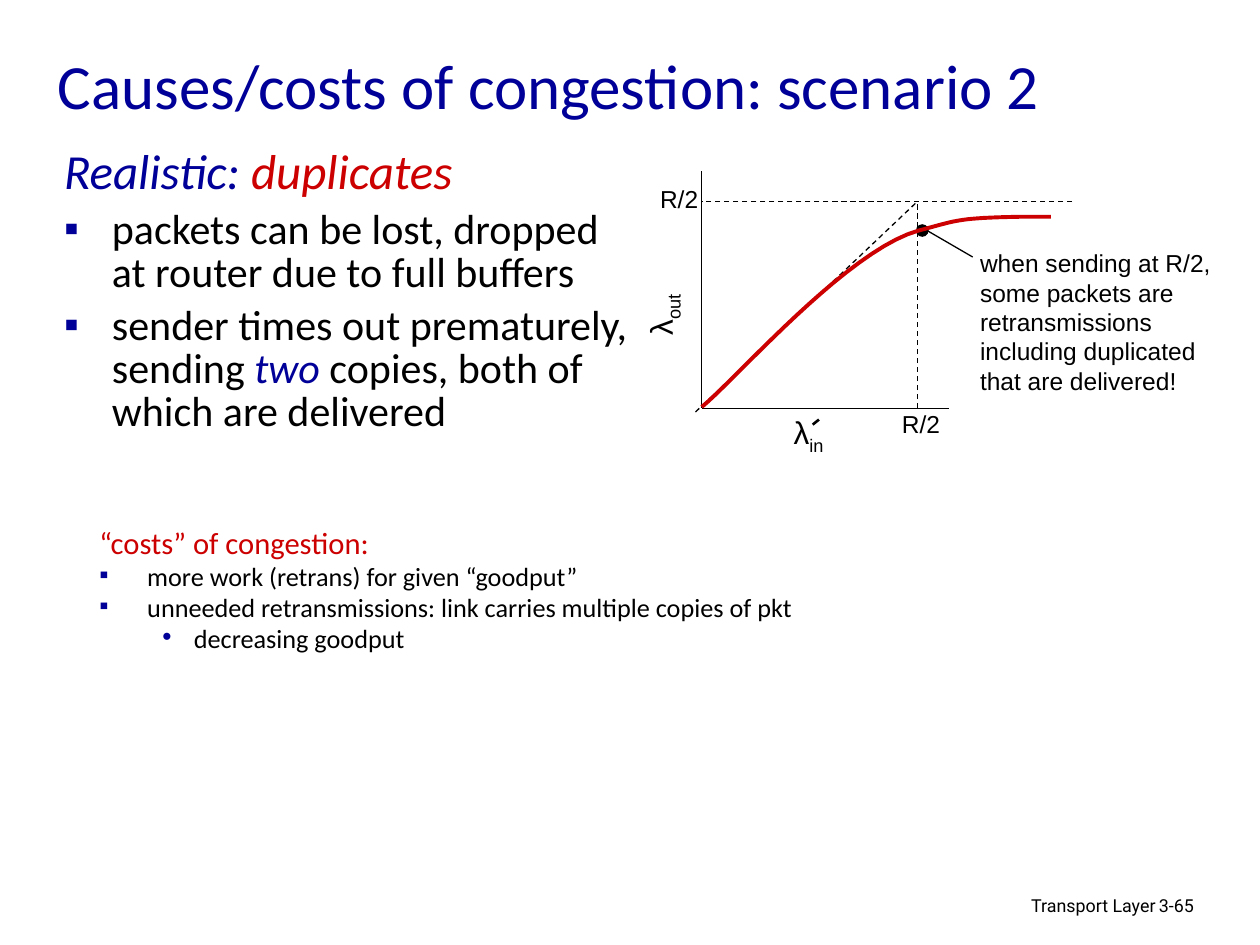
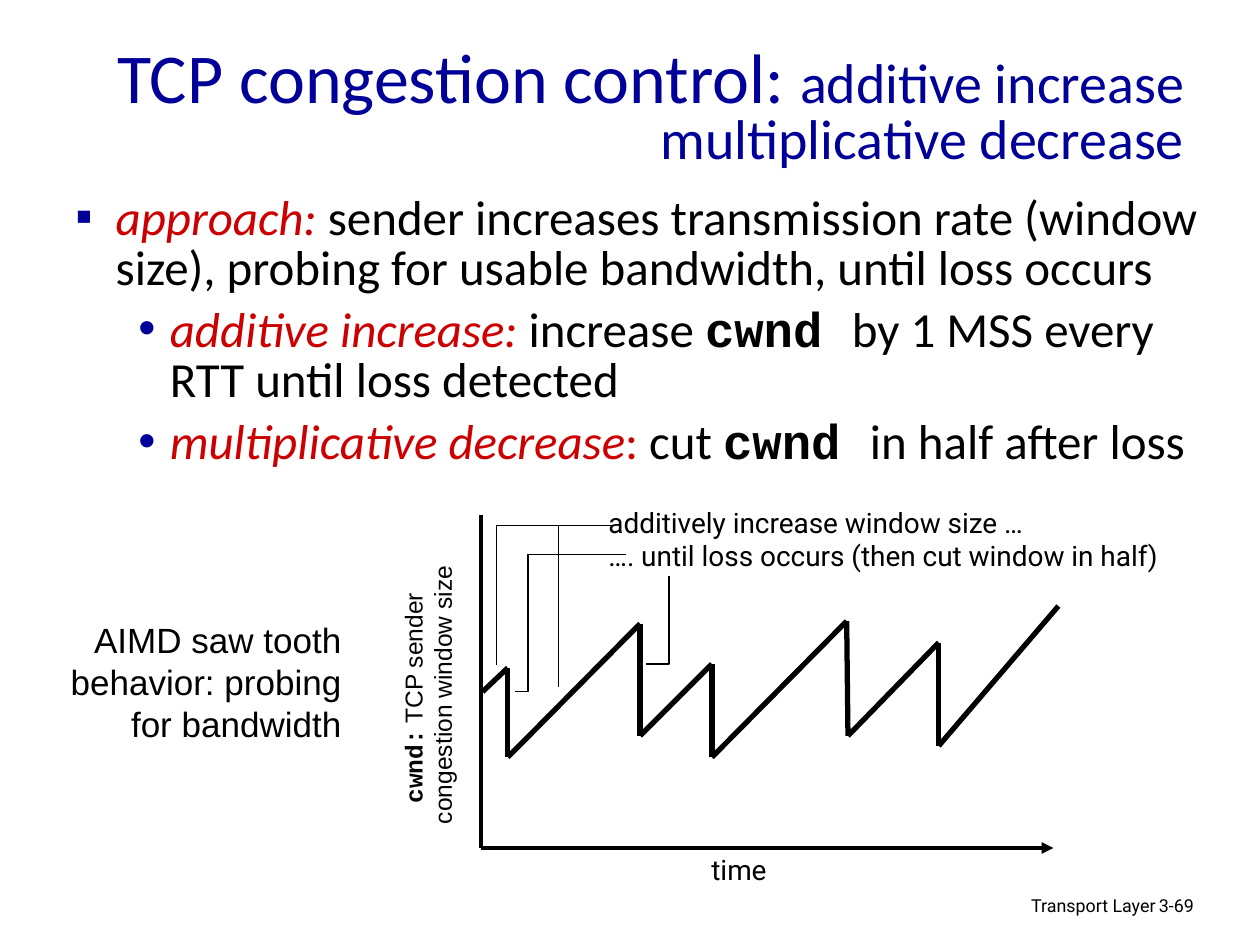
from itertools import pairwise

from lxml import etree
from pptx import Presentation
from pptx.dml.color import RGBColor
from pptx.enum.dml import MSO_LINE
from pptx.enum.shapes import MSO_CONNECTOR, MSO_SHAPE
from pptx.enum.text import MSO_ANCHOR, PP_ALIGN
from pptx.oxml.ns import qn
from pptx.util import Inches, Pt

STRAIGHT = MSO_CONNECTOR.STRAIGHT
DASH = MSO_LINE.DASH
LEFT, CENTER, RIGHT = PP_ALIGN.LEFT, PP_ALIGN.CENTER, PP_ALIGN.RIGHT
TOP, MIDDLE = MSO_ANCHOR.TOP, MSO_ANCHOR.MIDDLE

COLORS = {"ink": "000000", "blue": "000099", "red": "CC0000", "white": "FFFFFF"}
BODY, LABEL, NOTE, CODE = "Calibri", "Arial", "Roboto", "Courier New"
SQUARE, DOT = "▪", "•"

presentation = Presentation()
presentation.slide_width = Inches(10)
presentation.slide_height = Inches(7.5)
COLUMN = presentation.slide_width / 100
ROW = presentation.slide_height / 75


def write(slide, box, paragraphs, size=14, font=LABEL, color="ink", align=LEFT, anchor=TOP,
          spacing=None, before=0, hang=3.8, wrap=True, rotation=0, fill=None):
    left, top, width, height = box
    shape = slide.shapes.add_textbox(
        round(left * COLUMN), round(top * ROW), round(width * COLUMN), round(height * ROW))
    shape.rotation = rotation
    if fill:
        shape.fill.solid()
        shape.fill.fore_color.rgb = RGBColor.from_string(COLORS[fill])
    frame = shape.text_frame
    frame.word_wrap = wrap
    frame.vertical_anchor = anchor
    for index, (bullet, runs) in enumerate(paragraphs):
        paragraph = frame.add_paragraph() if index else frame.paragraphs[0]
        paragraph.alignment = align
        if spacing:
            paragraph.line_spacing = spacing
        if index and before:
            paragraph.space_before = Pt(before)
        if bullet:
            margin, indent = (7.5, 2.5) if bullet == DOT else (hang, hang)
            paragraph.level = int(bullet == DOT)
            properties = paragraph._p.get_or_add_pPr()
            properties.set("marL", str(round(margin * COLUMN)))
            properties.set("indent", str(-round(indent * COLUMN)))
            bullet_color = etree.SubElement(properties, qn("a:buClr"))
            etree.SubElement(bullet_color, qn("a:srgbClr"), val=COLORS["blue"])
            etree.SubElement(properties, qn("a:buFont"), typeface=LABEL)
            etree.SubElement(properties, qn("a:buChar"), char=bullet)
        for text, style in runs:
            run = paragraph.add_run()
            run.text = text
            run.font.name = style.get("font", font)
            run.font.size = Pt(style.get("size", size))
            run.font.bold = style.get("bold", False)
            run.font.italic = style.get("italic", False)
            run.font.color.rgb = RGBColor.from_string(COLORS[style.get("color", color)])
            if "baseline" in style:
                run._r.get_or_add_rPr().set("baseline", str(style["baseline"]))


def draw_line(slide, points, width=0.75, color="ink", dash=None, arrow=False):
    points = [(round(x * COLUMN), round(y * ROW)) for x, y in points]
    if len(points) == 2:
        shape = slide.shapes.add_connector(STRAIGHT, *points[0], *points[1])
        etree.SubElement(shape._element.spPr, qn("a:effectLst"))
    else:
        builder = slide.shapes.build_freeform(*points[0])
        builder.add_line_segments(points[1:], close=False)
        shape = builder.convert_to_shape()
        shape.shadow.inherit = False
        shape.fill.background()
    shape.line.width = Pt(width)
    shape.line.color.rgb = RGBColor.from_string(COLORS[color])
    if dash:
        shape.line.dash_style = dash
    if arrow:
        etree.SubElement(shape.line._get_or_add_ln(), qn("a:tailEnd"), type="triangle")


RED_ITALIC = {"color": "red", "italic": True}
BLUE_ITALIC = {"color": "blue", "italic": True}
CODE_BOLD = {"font": CODE, "bold": True}
SUBSCRIPT = {"baseline": -25000}

title_style = {"font": BODY, "color": "blue", "anchor": MIDDLE}
footer_style = {"font": NOTE, "size": 10.2, "spacing": 0.9}

blank = presentation.slide_layouts[6]
scenario_slide = presentation.slides.add_slide(blank)
aimd_slide = presentation.slides.add_slide(blank)

for slide, number in ((scenario_slide, "3-65"), (aimd_slide, "3-69")):
    write(slide, (61, 70.7, 31.7, 3), [(None, [("Transport Layer", {})])],
          align=RIGHT, **footer_style)
    write(slide, (91, 70.7, 7.4, 3), [(None, [(number, {})])], **footer_style)

write(scenario_slide, (3.6, 1.9, 85, 9.5),
      [(None, [("Causes/costs of congestion: scenario 2", {})])], size=36, **title_style)
write(scenario_slide, (4.1, 11.4, 47.1, 21), [
    (None, [("Realistic: ", BLUE_ITALIC | {"size": 28}),
            ("duplicates", RED_ITALIC | {"size": 28})]),
    (SQUARE, [("packets can be lost, dropped at router due to full buffers", {})]),
    (SQUARE, [("sender times out prematurely, sending ", {}), ("two ", BLUE_ITALIC),
              ("copies, both of which are delivered", {})]),
], size=24, font=BODY, spacing=0.85, before=6)
write(scenario_slide, (6.9, 42, 89.1, 10.8), [
    (None, [("“costs” of congestion:", {"size": 17.5, "color": "red"})]),
    (SQUARE, [("more work (retrans) for given “goodput”", {})]),
    (SQUARE, [("unneeded retransmissions: link carries multiple copies of pkt", {})]),
    (DOT, [("decreasing goodput", {})]),
], size=15, font=BODY, spacing=0.65, before=6)

axis_x, axis_y = 55.7, 32.4
limit_x, limit_y = 72.8, 16
draw_line(scenario_slide, [(axis_x, 13.6), (axis_x, axis_y)])
draw_line(scenario_slide, [(75.3, axis_y), (axis_x, axis_y)])
draw_line(scenario_slide, [(85.1, limit_y), (axis_x, limit_y)], dash=DASH)
draw_line(scenario_slide, [(55.2, 32.7), (limit_x, limit_y)], dash=DASH)
draw_line(scenario_slide, [(limit_x, axis_y), (limit_x, limit_y)], dash=DASH)

for left, top in ((51.4, 14.1), (70.6, 32)):
    write(scenario_slide, (left, top, 5, 3.4), [(None, [("R/2", {})])], wrap=False)
write(scenario_slide, (49.2, 22, 6.8, 4.4), [(None, [("λ", {}), ("out", SUBSCRIPT)])],
      size=18, rotation=270)
write(scenario_slide, (62, 32.3, 4.5, 4.4), [(None, [("λ", {}), ("in", SUBSCRIPT)])],
      size=18, wrap=False)
draw_line(scenario_slide, [(64.5, 33.7), (65, 33.3)], width=1.5)

operating_point = scenario_slide.shapes.add_shape(
    MSO_SHAPE.OVAL, round(72.7 * COLUMN), round(17.8 * ROW), round(COLUMN), round(ROW))
operating_point.shadow.inherit = False
operating_point.fill.solid()
operating_point.fill.fore_color.rgb = RGBColor.from_string(COLORS["ink"])
operating_point.line.fill.background()
draw_line(scenario_slide, [(77.2, 20.4), (72.9, 17.9)], arrow=True)
write(scenario_slide, (76.8, 19.2, 20.6, 12.7), [(None, [
    ("when sending at R/2, some packets are retransmissions "
     "including duplicated that are delivered!", {})])])

curve_knots = [(55.7, 32.3), (58.5, 30), (67.2, 19.9), (72.9, 18.3),
               (76, 17.5), (75.8, 17.3), (81.1, 17.2), (83.4, 17.2)]
throughput = [curve_knots[0]]
for start in (0, 3):
    bezier = curve_knots[start:start + 4]
    for step in range(1, 21):
        t = step / 20
        weights = ((1 - t) ** 3, 3 * t * (1 - t) ** 2, 3 * t ** 2 * (1 - t), t ** 3)
        throughput.append(tuple(
            sum(weight * knot[axis] for weight, knot in zip(weights, bezier))
            for axis in (0, 1)))
throughput.append(curve_knots[-1])
draw_line(scenario_slide, throughput, width=2.25, color="red")

write(aimd_slide, (2.5, 2.5, 92.5, 12.5), [(None, [
    ("TCP congestion control: ", {"size": 40}),
    ("additive increase multiplicative decrease", {})])],
    size=32, align=RIGHT, spacing=0.8, **title_style)
write(aimd_slide, (5, 15, 91.6, 15.8), [
    (SQUARE, [("approach: ", RED_ITALIC),
              ("sender increases transmission rate (window size), "
               "probing for usable bandwidth, until loss occurs", {})]),
    (DOT, [("additive increase:", RED_ITALIC), (" increase ", {}), ("cwnd ", CODE_BOLD),
           ("by 1 MSS every RTT until loss detected", {})]),
    (DOT, [("multiplicative decrease", RED_ITALIC), (":", {"color": "red"}), (" cut ", {}),
           ("cwnd ", CODE_BOLD), ("in half after loss", {})]),
], size=28, font=BODY, spacing=0.85, before=7, hang=3.2)

write(aimd_slide, (22.7, 52.3, 22.5, 5.7), [
    (None, [("cwnd:", CODE_BOLD), (" TCP sender ", {})]),
    (None, [("congestion window size", {})]),
], align=CENTER, wrap=False, rotation=270, fill="white")
write(aimd_slide, (4.6, 48.6, 23.5, 11),
      [(None, [(text, {})]) for text in ("AIMD saw tooth", "behavior: probing", "for bandwidth")],
      size=20, align=RIGHT, wrap=False)

draw_line(aimd_slide, [(38.2, 67.3), (83.6, 67.3)], width=2.25, arrow=True)
draw_line(aimd_slide, [(38.2, 40.9), (38.2, 67.3)], width=2.25)
saw_tooth = [(38.3, 54.9), (40.3, 53), (40.3, 60.1), (50.8, 49.5), (50.8, 58.4), (56.5, 52.7),
             (56.5, 60.1), (67.2, 49.3), (67.3, 58.4), (74.5, 51), (74.5, 59.2), (84, 48.1)]
for segment in pairwise(saw_tooth):
    draw_line(aimd_slide, segment, width=3)

write(aimd_slide, (47.3, 39.6, 47.8, 6.4), [
    (None, [("additively increase window size …", {})]),
    (None, [("…. until loss occurs (then cut window in half)", {})]),
], size=16, font=NOTE, wrap=False)
for leader in (
    [(48.8, 41.7), (39.4, 41.7), (39.4, 52.8)],
    [(49.7, 44), (41.9, 44), (41.9, 54.9), (40.9, 54.9)],
    [(48.8, 41.7), (44.3, 41.7), (44.3, 54.5)],
    [(53.1, 45.7), (53.1, 52.7), (51.3, 52.7)],
):
    draw_line(aimd_slide, leader)
write(aimd_slide, (55.3, 67.2, 6.7, 3.7), [(None, [("time", {})])],
      size=16, font=NOTE, align=CENTER, wrap=False)

presentation.save("out.pptx")
